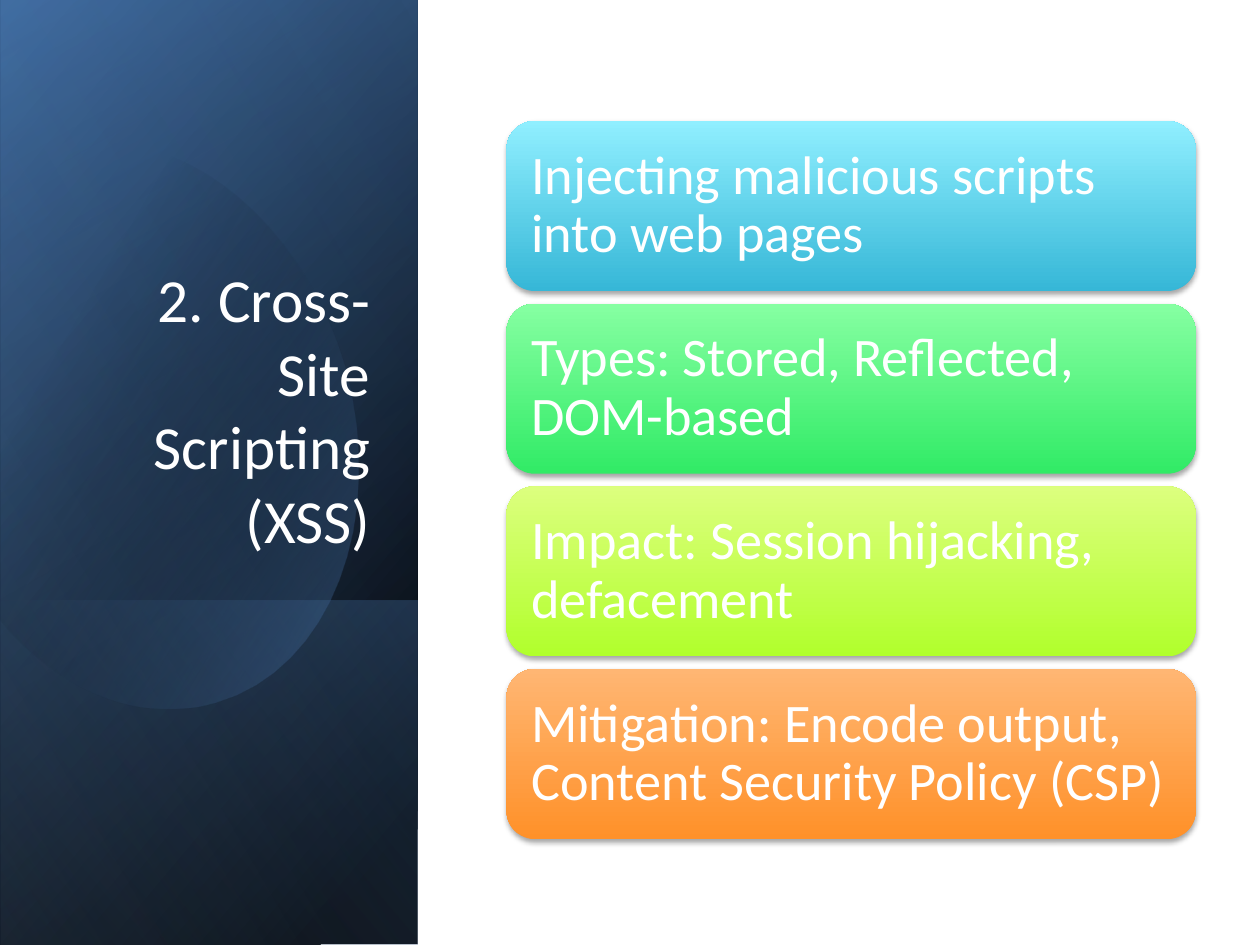
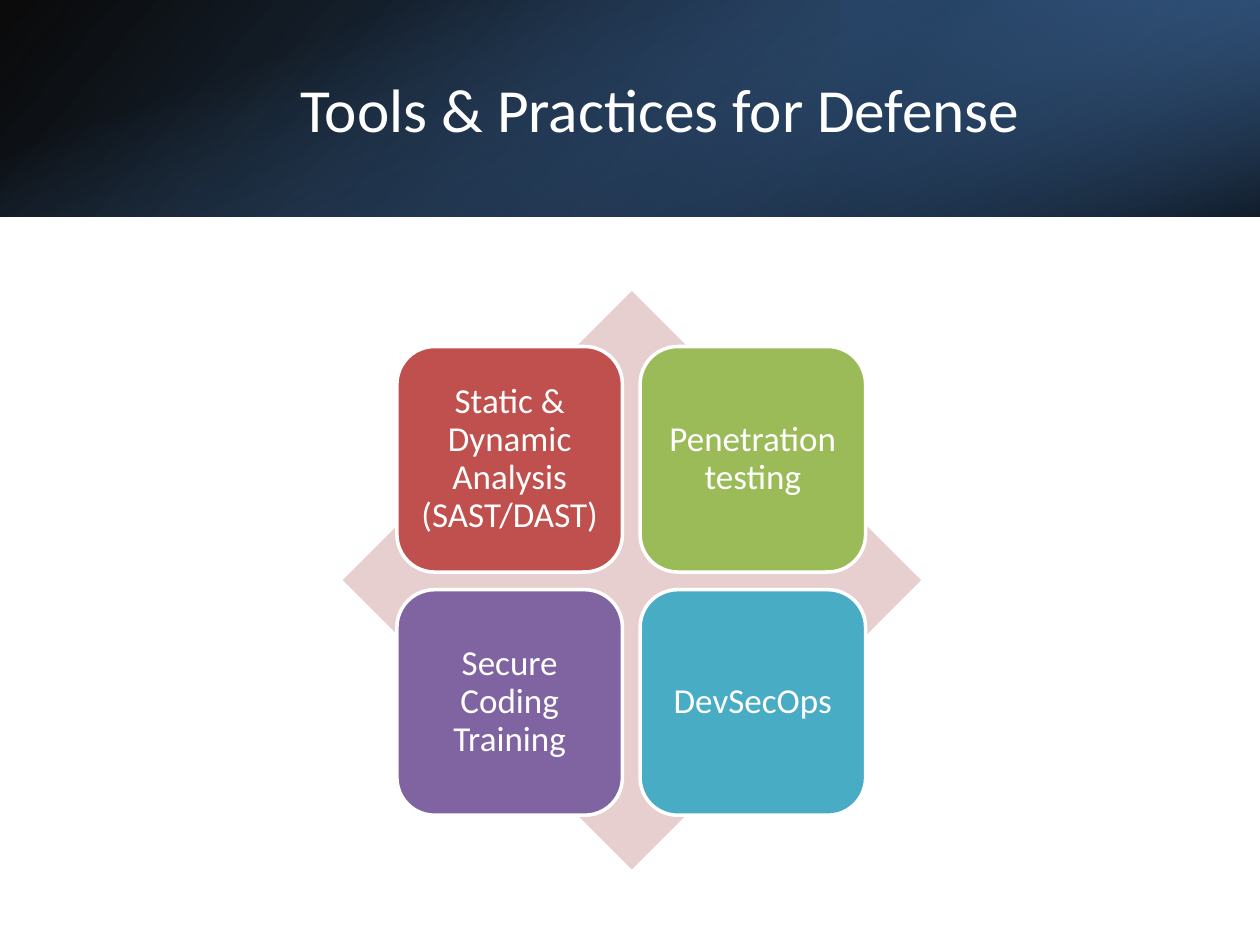
from lxml import etree
from pptx import Presentation
from pptx.dml.color import RGBColor
from pptx.enum.shapes import MSO_SHAPE
from pptx.enum.text import MSO_ANCHOR, PP_ALIGN
from pptx.oxml import parse_xml
from pptx.oxml.ns import nsdecls, qn
from pptx.util import Inches, Pt

RECT, ROUNDED, DIAMOND = MSO_SHAPE.RECTANGLE, MSO_SHAPE.ROUNDED_RECTANGLE, MSO_SHAPE.DIAMOND
LEFT, CENTER, RIGHT = PP_ALIGN.LEFT, PP_ALIGN.CENTER, PP_ALIGN.RIGHT
MIDDLE, BOTTOM = MSO_ANCHOR.MIDDLE, MSO_ANCHOR.BOTTOM

FONT = "Calibri"
WHITE, BLACK = "FFFFFF", "000000"
BLUE, DEEP_BLUE, NAVY, PALE_BLUE = "4F81BD", "366092", "244061", "93B3D7"
TITLE_SIZE = 35
CORNER = 0.167


def paint(shape, stops, angle=0):
    """Fill without outline or shadow; stops is a hex colour or (percent, hex, opacity) tuples."""
    shape.shadow.inherit = False
    shape.line.fill.background()
    if isinstance(stops, str):
        shape.fill.solid()
        shape.fill.fore_color.rgb = RGBColor.from_string(stops)
        return
    shape.fill.gradient()
    properties = shape._element.spPr
    stop_xml = "".join(
        f'<a:gs pos="{position * 1000}"><a:srgbClr val="{color}">'
        f'<a:alpha val="{opacity * 1000}"/></a:srgbClr></a:gs>'
        for position, color, opacity in stops
    )
    gradient = parse_xml(
        f'<a:gradFill {nsdecls("a")} rotWithShape="1"><a:gsLst>{stop_xml}</a:gsLst>'
        f'<a:lin ang="{angle * 60000}" scaled="0"/></a:gradFill>'
    )
    properties.replace(properties.find(qn("a:gradFill")), gradient)


def write(shape, text, size, align, anchor=MIDDLE, inset_x=0.1, inset_y=0.05, spacing=None):
    frame = shape.text_frame
    frame.text = text
    frame.word_wrap = True
    frame.vertical_anchor = anchor
    frame.margin_left = frame.margin_right = Inches(inset_x)
    frame.margin_top = frame.margin_bottom = Inches(inset_y)
    paragraph = frame.paragraphs[0]
    paragraph.alignment = align
    paragraph.line_spacing = spacing
    font = paragraph.runs[0].font
    font.name, font.size = FONT, Pt(size)
    font.color.rgb = RGBColor.from_string(WHITE)


prs = Presentation()
prs.slide_width, prs.slide_height = Inches(10), Inches(7.5)
title_only = prs.slide_layouts[5]

# Each band layer: box, rotation, mirrored, gradient stops, gradient angle
side_box = (-2.09, 2.09, 7.5, 3.31)
side_layers = [
    (side_box, 90, True, [(0, BLACK, 100), (8, BLACK, 100), (100, DEEP_BLUE, 100)], 50),
    (side_box, 90, True, [(0, BLACK, 0), (99, BLUE, 46), (100, BLUE, 46)], 30),
    ((0.29, 4.48, 2.74, 3.31), 90, True, [(0, BLUE, 29), (2, BLUE, 29), (100, BLACK, 30)], 130),
    (side_box, 90, True, [(0, BLACK, 0), (99, PALE_BLUE, 11), (100, PALE_BLUE, 11)], 120),
]
top_layers = [
    ((0, 0, 10, 1.72), 0, True, [(0, BLACK, 96), (100, DEEP_BLUE, 100)], 140),
    ((6.67, 0, 3.33, 1.72), 180, True, [(0, NAVY, 68), (19, NAVY, 68), (100, BLUE, 79)], 320),
    ((4.14, -4.14, 1.72, 10), 90, False,
     [(0, BLUE, 0), (23, BLUE, 0), (99, BLACK, 74), (100, BLACK, 74)], 340),
]
pages = [
    ("2. Cross-Site Scripting (XSS)", (0.48, 1.84, 2.56, 2.62), RIGHT, BOTTOM, side_layers),
    ("Tools & Practices for Defense", (1.12, 0.38, 8.24, 0.96), CENTER, MIDDLE, top_layers),
]

slides = []
for heading, title_box, align, anchor, layers in pages:
    slide = prs.slides.add_slide(title_only)
    slides.append(slide)
    for box, rotation, mirrored, stops, angle in layers:
        layer = slide.shapes.add_shape(RECT, *map(Inches, box))
        layer.rotation = rotation
        if mirrored:
            layer._element.spPr.get_or_add_xfrm().set("flipH", "1")
        paint(layer, stops, angle)
    title = slide.shapes.title
    title.left, title.top, title.width, title.height = map(Inches, title_box)
    write(title, heading, TITLE_SIZE, align, anchor)
    slide.shapes._spTree.append(title._element)  # in front of the band

xss, defense = slides

# Glowing oval on the side band, its Bézier curves traced in short steps
oval_start = (0.96, 1.14)
oval_curves = [
    ((1.71, 1.22), (2.44, 1.92), (2.73, 2.9)),
    ((3.07, 4.12), (2.62, 5.31), (1.71, 5.57)),
    ((1.14, 5.74), (0.53, 5.5), (0.07, 5)),
    ((-0.03, 4.88),),
    ((-0.25, 1.66),),
    ((-0.15, 1.54),),
    ((0.02, 1.37), (0.22, 1.25), (0.45, 1.18)),
    ((0.62, 1.13), (0.79, 1.12), oval_start),
]
STEPS = 16
outline, current = [], oval_start
for curve in oval_curves:
    if len(curve) == 1:
        outline.append(curve[0])
    else:
        controls = (current, *curve)
        for step in range(1, STEPS + 1):
            t = step / STEPS
            weights = ((1 - t) ** 3, 3 * t * (1 - t) ** 2, 3 * t * t * (1 - t), t ** 3)
            outline.append(tuple(
                sum(w * point[axis] for w, point in zip(weights, controls)) for axis in (0, 1)
            ))
    current = curve[-1]
builder = xss.shapes.build_freeform(*map(Inches, oval_start))
builder.add_line_segments([(Inches(x), Inches(y)) for x, y in outline], close=True)
oval = builder.convert_to_shape()
paint(oval, [(0, BLACK, 0), (29, BLACK, 0), (100, BLUE, 43)], 30)
xss.shapes.title._element.addprevious(oval._element)

# Stacked facts about XSS
facts = [
    ("Injecting malicious scripts into web pages", "36B7D7", "90EFFF"),
    ("Types: Stored, Reflected, DOM-based", "31EB66", "86FFA2"),
    ("Impact: Session hijacking, defacement", "B1FF2C", "DCFF7E"),
    ("Mitigation: Encode output, Content Security Policy (CSP)", "FF9129", "FFB673"),
]
FACT_TOP, FACT_PITCH = 0.96, 1.45
for row, (text, dark, light) in enumerate(facts):
    fact = xss.shapes.add_shape(
        ROUNDED, Inches(4.02), Inches(FACT_TOP + row * FACT_PITCH), Inches(5.47), Inches(1.35))
    fact.adjustments[0] = CORNER
    paint(fact, [(0, dark, 100), (100, light, 100)], 270)
    shadow = etree.SubElement(
        fact._element.spPr.find(qn("a:effectLst")), qn("a:outerShdw"),
        blurRad=str(Pt(3.1)), dist=str(Pt(1.8)), dir="5400000", rotWithShape="0")
    shade = etree.SubElement(shadow, qn("a:srgbClr"), val=BLACK)
    etree.SubElement(shade, qn("a:alpha"), val="35000")
    write(fact, text, 31, LEFT, inset_x=0.13, inset_y=0.13, spacing=0.9)

# Four practices on a diamond
diamond = defense.shapes.add_shape(DIAMOND, *map(Inches, (2.72, 2.31, 4.59, 4.59)))
paint(diamond, "E7CFCF")

practices = [
    ("Static & Dynamic Analysis (SAST/DAST)", "BF504D"),
    ("Penetration testing", "9BBB59"),
    ("Secure Coding Training", "8064A2"),
    ("DevSecOps", "49ACC5"),
]
GRID_LEFT, GRID_TOP, GRID_PITCH, TILE = 3.15, 2.75, 1.93, 1.79
for index, (text, color) in enumerate(practices):
    row, column = divmod(index, 2)
    practice = defense.shapes.add_shape(
        ROUNDED, Inches(GRID_LEFT + column * GRID_PITCH), Inches(GRID_TOP + row * GRID_PITCH),
        Inches(TILE), Inches(TILE))
    practice.adjustments[0] = CORNER
    paint(practice, color)
    practice.line.color.rgb = RGBColor.from_string(WHITE)
    practice.line.width = Pt(2)
    write(practice, text, 20, CENTER, inset_x=0.08, inset_y=0.08, spacing=0.9)

prs.save("out.pptx")
